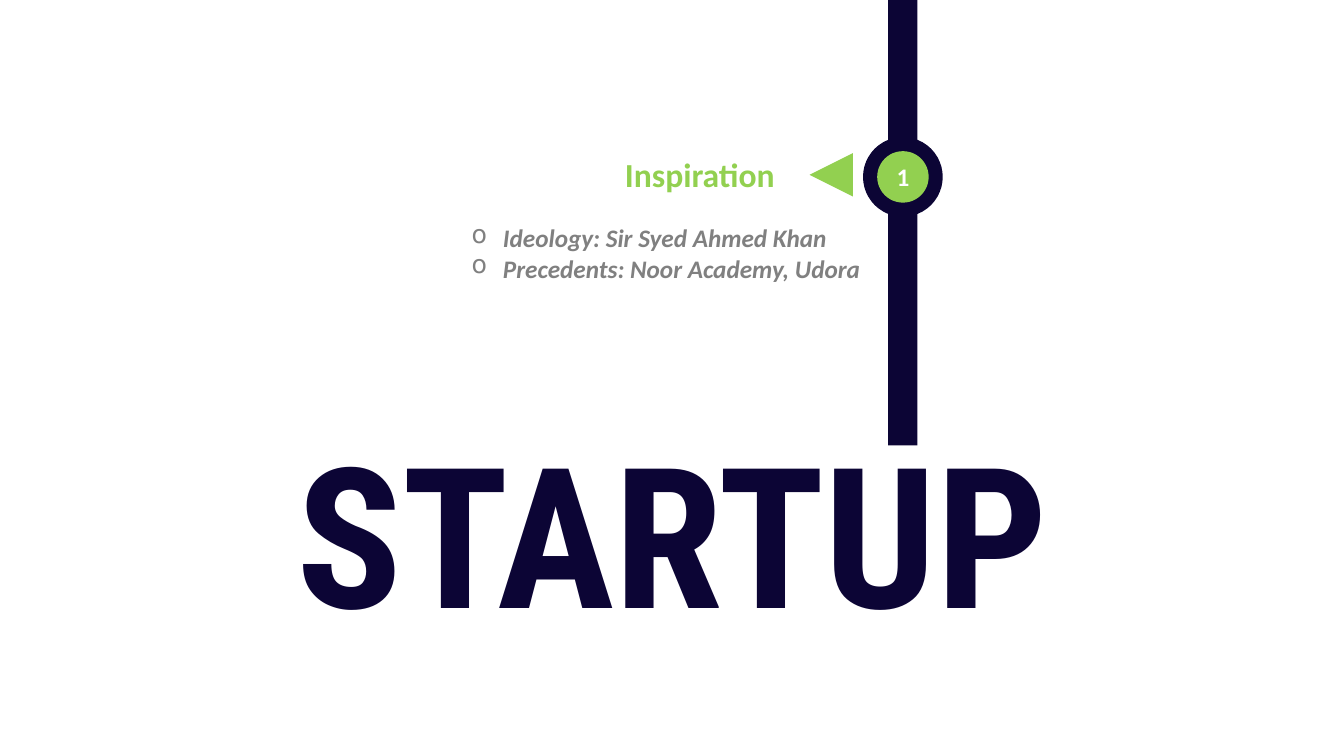
from lxml import etree
from pptx import Presentation
from pptx.dml.color import RGBColor
from pptx.enum.shapes import MSO_SHAPE as Preset
from pptx.enum.text import MSO_ANCHOR as Anchor, MSO_AUTO_SIZE as AutoSize, PP_ALIGN as Align
from pptx.oxml.ns import qn
from pptx.util import Inches, Pt

WIDTH, HEIGHT = Inches(13.33), Inches(7.5)
NAVY, GREEN, GRAY, WHITE = "0C0535", "92D050", "808080", "FFFFFF"
ROAD_CENTER, STOP_CENTER = 67.18, 23.4


def color(value):
    return RGBColor.from_string(value)


def across(percent):
    return round(WIDTH * percent / 100)


def down(percent):
    return round(HEIGHT * percent / 100)


def add_filled(shapes, preset, left, top, width, height, fill):
    shape = shapes.add_shape(preset, left, top, width, height)
    shape.shadow.inherit = False
    shape.fill.solid()
    shape.fill.fore_color.rgb = color(fill)
    shape.line.fill.background()
    return shape


def add_centered(shapes, preset, center_x, center_y, size, fill):
    side = across(size)
    left, top = across(center_x) - side // 2, down(center_y) - side // 2
    return add_filled(shapes, preset, left, top, side, side, fill)


def add_bullet(paragraph, indent):
    properties = paragraph._p.get_or_add_pPr()
    properties.set("marL", str(indent))
    properties.set("indent", str(-indent))
    etree.SubElement(properties, qn("a:buChar")).set("char", "o")


def write(paragraph, text, size, fill, name="Calibri", italic=False, align=Align.LEFT):
    paragraph.text = text
    paragraph.alignment = align
    font = paragraph.font
    font.name, font.size = name, Pt(size)
    font.bold, font.italic = True, italic
    font.color.rgb = color(fill)


def add_text(slide, left, top, width, height, lines, size, fill, wrap=False, bullets=False, **style):
    box = slide.shapes.add_textbox(across(left), down(top), across(width), down(height))
    frame = box.text_frame
    frame.word_wrap = wrap
    frame.auto_size = AutoSize.SHAPE_TO_FIT_TEXT
    for index, line in enumerate(lines):
        paragraph = frame.add_paragraph() if index else frame.paragraphs[0]
        if bullets:
            add_bullet(paragraph, Inches(0.31))
        write(paragraph, line, size, fill, **style)


def add_stop(slide, number):
    group = slide.shapes.add_group_shape()
    add_centered(group.shapes, Preset.OVAL, ROAD_CENTER, STOP_CENTER, 5.93, NAVY)
    badge = add_centered(group.shapes, Preset.OVAL, ROAD_CENTER, STOP_CENTER, 3.83, GREEN)
    frame = badge.text_frame
    frame.margin_left = frame.margin_right = frame.margin_top = frame.margin_bottom = 0
    frame.vertical_anchor = Anchor.MIDDLE
    write(frame.paragraphs[0], number, 18, WHITE, align=Align.CENTER)


def main():
    presentation = Presentation()
    presentation.slide_width, presentation.slide_height = WIDTH, HEIGHT
    slide = presentation.slides.add_slide(presentation.slide_layouts[6])

    add_text(slide, 13.13, 53.87, 73.82, 32.8, ["STARTUP"], 140, NAVY,
             wrap=True, name="Roboto Condensed", align=Align.CENTER)
    road_width = across(2.18)
    add_filled(slide.shapes, Preset.RECTANGLE, across(ROAD_CENTER) - road_width // 2, 0,
               road_width, down(58.93), NAVY)
    add_stop(slide, "1")
    add_text(slide, 45.76, 19.73, 12.83, 6.67, ["Inspiration"], 24, GREEN)
    pointer = add_centered(slide.shapes, Preset.ISOSCELES_TRIANGLE, 61.85, 23.13, 3.23, GREEN)
    pointer.rotation = 270
    add_text(slide, 34.36, 28.8, 32.03, 9.47,
             ["Ideology: Sir Syed Ahmed Khan", "Precedents: Noor Academy, Udora"],
             18, GRAY, bullets=True, italic=True)

    presentation.save("out.pptx")


if __name__ == "__main__":
    main()
